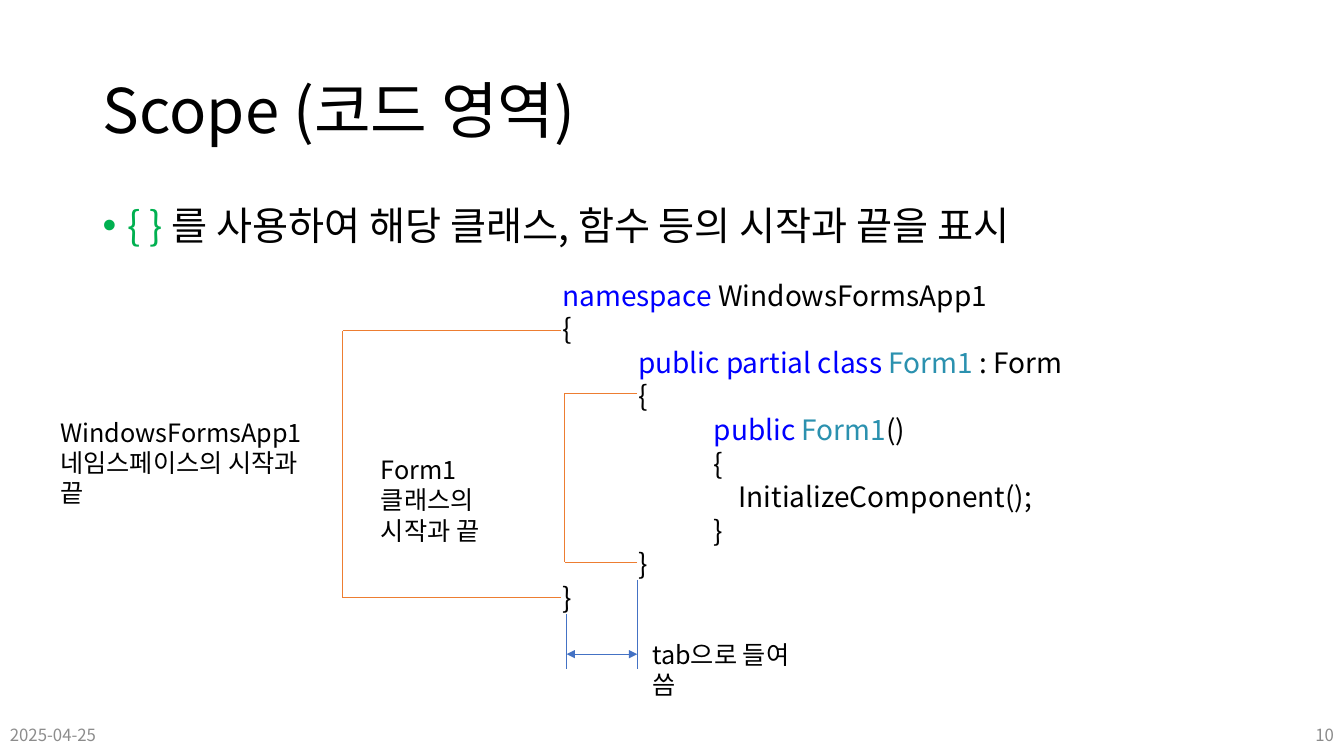
from lxml import etree
from pptx import Presentation
from pptx.dml.color import RGBColor
from pptx.enum.shapes import MSO_CONNECTOR
from pptx.enum.text import MSO_ANCHOR, MSO_AUTO_SIZE, PP_ALIGN
from pptx.oxml.ns import qn
from pptx.util import Inches, Pt

STRAIGHT = MSO_CONNECTOR.STRAIGHT
TOP, MIDDLE = MSO_ANCHOR.TOP, MSO_ANCHOR.MIDDLE
LEFT, RIGHT = PP_ALIGN.LEFT, PP_ALIGN.RIGHT
NO_AUTOFIT = MSO_AUTO_SIZE.NONE
TITLE_ONLY = 5

FONT = "Noto Sans CJK KR"
BLACK, GREY, GREEN = "000000", "8C8C8C", "00B050"
KEYWORD, TYPE_NAME = "0000FF", "2B91AF"
ORANGE, BLUE = "ED7D31", "4472C4"
TAB = 0.75

# Each code line: indent in tabs, then (text, colour) spans
CODE = [
    (0, [("namespace", KEYWORD), (" WindowsFormsApp1", BLACK)]),
    (0, [("{", BLACK)]),
    (1, [("public partial class ", KEYWORD), ("Form1", TYPE_NAME), (" : Form", BLACK)]),
    (1, [("{", BLACK)]),
    (2, [("public ", KEYWORD), ("Form1", TYPE_NAME), ("()", BLACK)]),
    (2, [("{", BLACK)]),
    (2.33, [("InitializeComponent();", BLACK)]),
    (2, [("}", BLACK)]),
    (1, [("}", BLACK)]),
    (0, [("}", BLACK)]),
]


def rgb(color):
    return RGBColor.from_string(color)


def set_indent(para, margin, first=0):
    properties = para._p.get_or_add_pPr()
    properties.set("marL", str(Inches(margin)))
    properties.set("indent", str(Inches(first)))
    return properties


def add_span(para, text, size, color):
    span = para.add_run()
    span.text = text
    span.font.size = Pt(size)
    span.font.name = FONT
    span.font.color.rgb = rgb(color)
    east_asian = etree.SubElement(span._r.get_or_add_rPr(), qn("a:ea"))
    east_asian.set("typeface", FONT)


def fill_text(box, lines, size, anchor=TOP, align=LEFT):
    """Write lines of (text, colour) spans and return their paragraphs."""
    frame = box.text_frame
    frame.word_wrap = True
    frame.auto_size = NO_AUTOFIT
    frame.vertical_anchor = anchor
    for index, spans in enumerate(lines):
        para = frame.add_paragraph() if index else frame.paragraphs[0]
        para.alignment = align
        for text, color in spans:
            add_span(para, text, size, color)
    return frame.paragraphs


def add_text(slide, place, lines, size, anchor=TOP, align=LEFT):
    box = slide.shapes.add_textbox(*map(Inches, place))
    return fill_text(box, lines, size, anchor, align)


def add_note(slide, place, *lines):
    add_text(slide, place, [[(line, BLACK)] for line in lines], 18)


def add_line(slide, start, end, color, arrows=False):
    line = slide.shapes.add_connector(STRAIGHT, *map(Inches, start + end))
    line.line.color.rgb = rgb(color)
    line.line.width = Pt(0.5)
    if arrows:
        outline = line.line._get_or_add_ln()
        for tag in ("a:headEnd", "a:tailEnd"):
            etree.SubElement(outline, qn(tag)).set("type", "triangle")
    etree.SubElement(line._element.spPr, qn("a:effectLst"))


def add_bracket(slide, left, right, top, bottom):
    for y in (top, bottom):
        add_line(slide, (right, y), (left, y), ORANGE)
    add_line(slide, (left, top), (left, bottom), ORANGE)


def add_title(slide, text):
    title = slide.shapes.title
    title.left, title.top = Inches(0.92), Inches(0.4)
    title.width, title.height = Inches(11.5), Inches(1.45)
    para = fill_text(title, [[(text, BLACK)]], 44, MIDDLE)[0]
    para.line_spacing = 0.9


def add_bullet(slide, place, spans):
    para = add_text(slide, place, [spans], 28)[0]
    para.line_spacing = 0.9
    para.space_before = Pt(10)
    properties = set_indent(para, 0.25, -0.25)
    etree.SubElement(properties, qn("a:buFont")).set("typeface", "Arial")
    etree.SubElement(properties, qn("a:buChar")).set("char", "•")


def add_code(slide, place):
    paras = add_text(slide, place, [spans for _, spans in CODE], 20)
    for para, (tabs, _) in zip(paras, CODE):
        set_indent(para, tabs * TAB)


def main():
    deck = Presentation()
    deck.slide_width, deck.slide_height = Inches(13.33), Inches(7.5)
    slide = deck.slides.add_slide(deck.slide_layouts[TITLE_ONLY])

    # Heading and statement
    add_title(slide, "Scope (코드 영역)")
    add_bullet(slide, (0.92, 2, 11.5, 0.7), [
        ("{ } ", GREEN),
        ("를 사용하여 해당 클래스, 함수 등의 시작과 끝을 표시", BLACK),
    ])

    # Date and page number
    add_text(slide, (0, 7.09, 3, 0.4), [[("2025-04-25", GREY)]], 12, MIDDLE)
    add_text(slide, (10.33, 7.09, 3, 0.4), [[("10", GREY)]], 12, MIDDLE, RIGHT)

    # Code with its scope brackets
    add_code(slide, (5.48, 2.71, 6.71, 3.47))
    add_bracket(slide, 3.4, 5.56, 3.28, 5.93)
    add_note(slide, (0.5, 4.09, 2.72, 0.71), "WindowsFormsApp1", "네임스페이스의 시작과 끝")
    add_bracket(slide, 5.6, 6.32, 3.9, 5.58)
    add_note(slide, (3.68, 4.46, 1.89, 0.71), "Form1 클래스의", "시작과 끝")

    # Tab width measure
    add_line(slide, (5.62, 6.49), (6.32, 6.49), BLUE, arrows=True)
    for x, top in ((5.62, 6.09), (6.32, 5.75)):
        add_line(slide, (x, top), (x, 6.64), BLUE)
    add_note(slide, (6.37, 6.29, 1.81, 0.4), "tab으로 들여 씀")

    deck.save("out.pptx")


if __name__ == "__main__":
    main()
